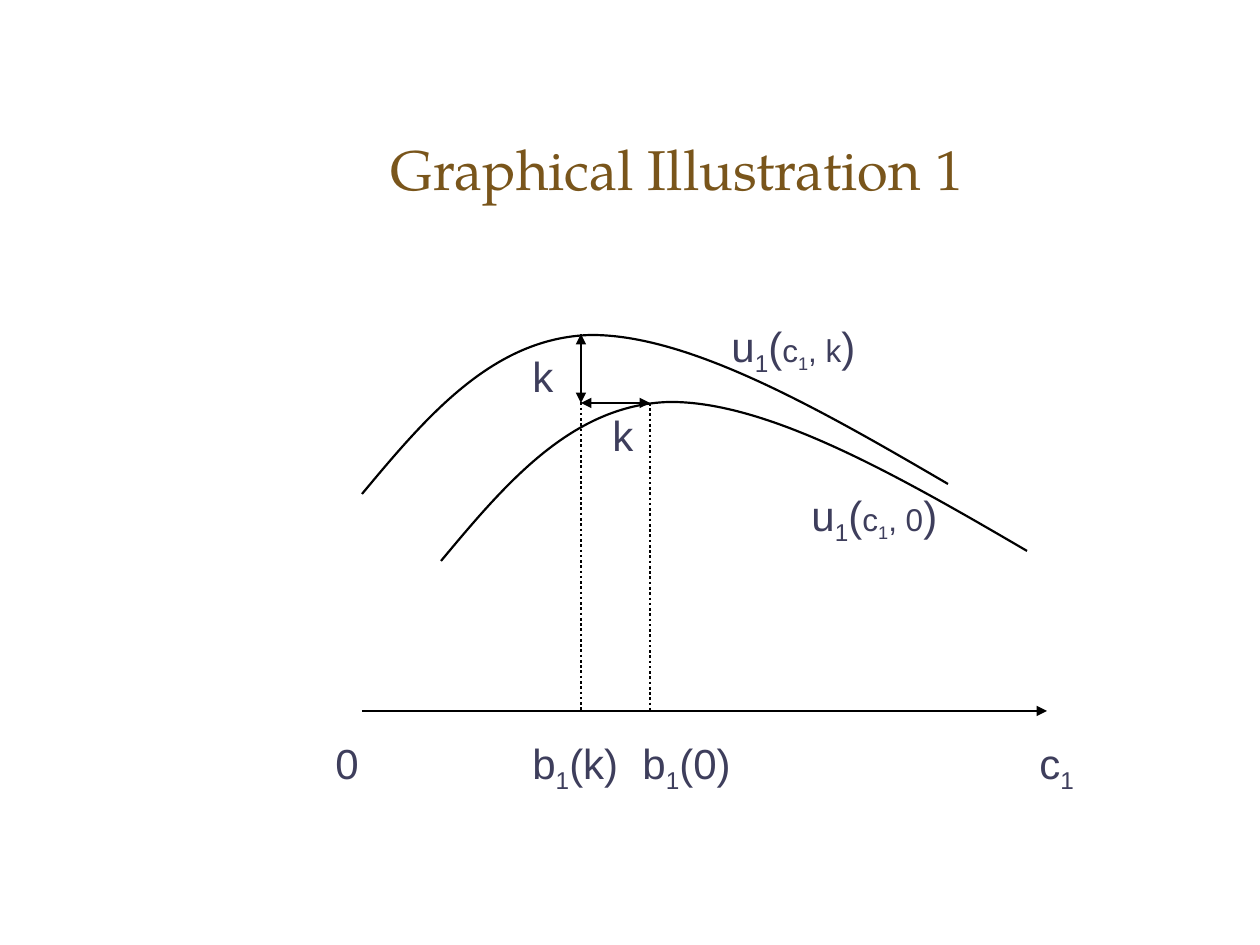
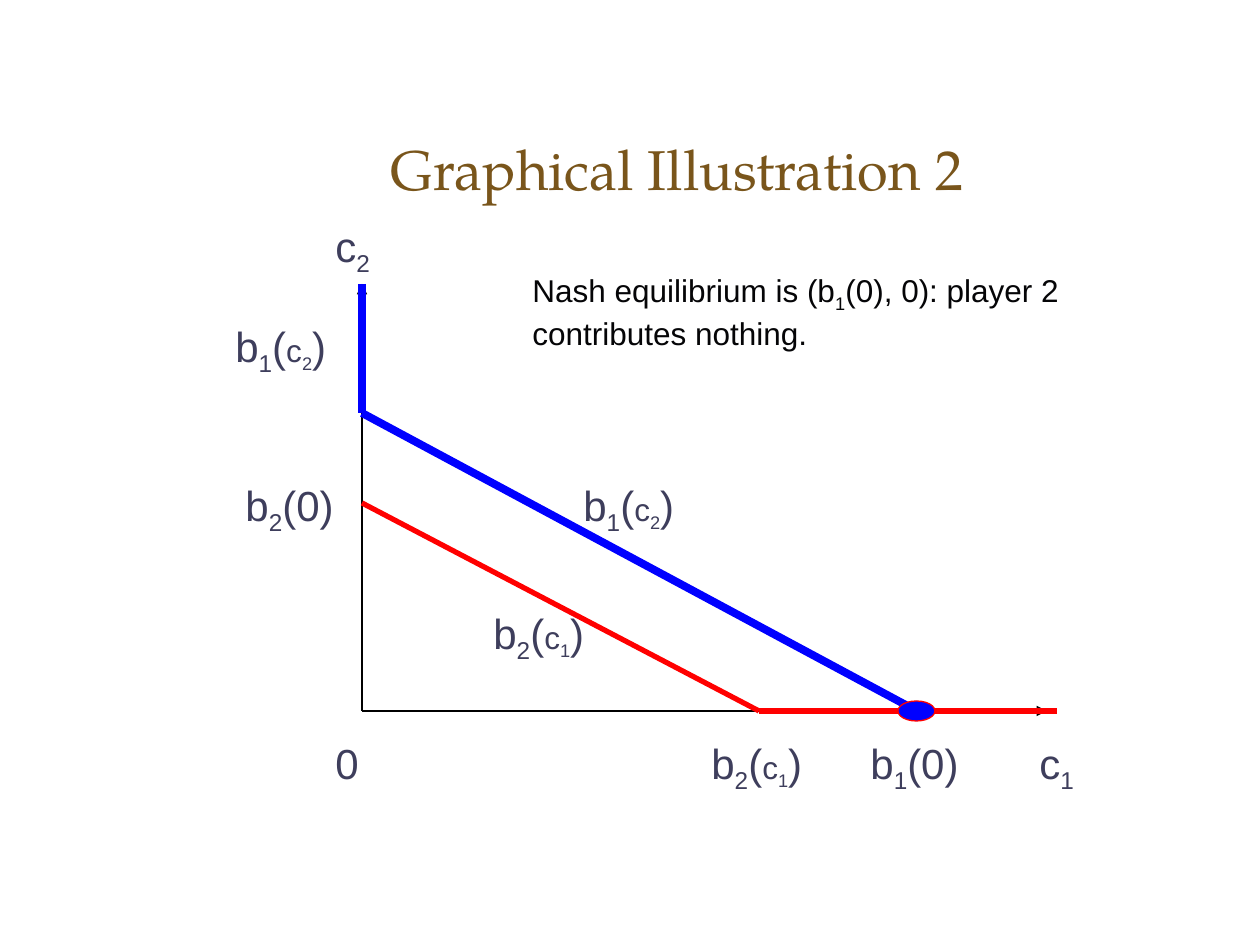
from lxml import etree
from pptx import Presentation
from pptx import util as u
from pptx.dml.color import RGBColor
from pptx.enum import dml, shapes, text
from pptx.oxml.ns import qn

PX = 914400 // 126
COLORS = {
    "title": "79551B",
    "label": "3E3E5C",
    "note": "050507",
    "ink": "000000",
    "player1": "0000FF",
    "player2": "FF0000",
}
ORIGIN_X, AXIS_Y, AXIS_END = 362, 711, 1047
LABEL_Y = 731


def px(*lengths):
    return [u.Emu(length * PX) for length in lengths]


def rgb(name):
    return RGBColor.from_string(COLORS[name])


class Deck:
    title_font = "TeX Gyre Pagella"
    body_font = "Arial"

    def __init__(self):
        self.prs = Presentation()
        self.prs.slide_width, self.prs.slide_height = u.Inches(10), u.Inches(7.5)
        self.slide = None

    def new_slide(self, title):
        self.slide = self.prs.slides.add_slide(self.prs.slide_layouts[6])
        frame = self.frame(378, 105, 756, 126)
        frame.vertical_anchor = text.MSO_ANCHOR.MIDDLE
        heading = frame.paragraphs[0]
        heading.text = title
        self.style(heading, self.title_font, 32, "title")

    def frame(self, x, y, width, height):
        frame = self.slide.shapes.add_textbox(*px(x, y, width, height)).text_frame
        frame.word_wrap = True
        return frame

    def style(self, paragraph, font, size, color):
        paragraph.font.name = font
        paragraph.font.size = u.Pt(size)
        paragraph.font.color.rgb = rgb(color)

    def label(self, x, y, width, formula, height=None, size=24, color="label"):
        """Formula marks: _ lowers the next character, | toggles small type."""
        frame = self.frame(x, y, width, height or (71 if "_" in formula else 63))
        frame.auto_size = text.MSO_AUTO_SIZE.SHAPE_TO_FIT_TEXT
        paragraph = frame.paragraphs[0]
        self.style(paragraph, self.body_font, size, color)
        for part_no, part in enumerate(formula.split("|")):
            small = part_no % 2 == 1
            plain, *lowered = part.split("_")
            self.run(paragraph, plain, small)
            for piece in lowered:
                self.run(paragraph, piece[:1], small, subscript=True)
                self.run(paragraph, piece[1:], small)

    def run(self, paragraph, wording, small, subscript=False):
        if not wording:
            return
        run = paragraph.add_run()
        run.text = wording
        if small:
            run.font.size = u.Pt(18)
        if subscript:
            run._r.get_or_add_rPr().set("baseline", "-25000")

    def line(self, start, end, width=1.5, color="ink", dotted=False, arrows=()):
        line = self.slide.shapes.add_connector(
            shapes.MSO_CONNECTOR.STRAIGHT, *px(*start, *end))
        line.line.color.rgb = rgb(color)
        line.line.width = u.Pt(width)
        if dotted:
            line.line.dash_style = dml.MSO_LINE.ROUND_DOT
        properties = line._element.spPr
        for arrow in arrows:
            etree.SubElement(properties.find(qn("a:ln")), qn(f"a:{arrow}"), type="triangle")
        etree.SubElement(properties, qn("a:effectLst"))

    def curve(self, points):
        builder = self.slide.shapes.build_freeform(*points[0], scale=PX)
        builder.add_line_segments(points[1:], close=False)
        curve = builder.convert_to_shape()
        curve.shadow.inherit = False
        curve.fill.background()
        curve.line.color.rgb = rgb("ink")
        curve.line.width = u.Pt(1.25)
        path = curve._element.spPr.find(".//" + qn("a:path"))
        segments = path.findall(qn("a:lnTo"))
        for first in range(0, len(segments), 3):
            bezier = etree.SubElement(path, qn("a:cubicBezTo"))
            for segment in segments[first:first + 3]:
                bezier.append(segment[0])
                path.remove(segment)

    def dot(self, x, y, width, height, fill, outline):
        dot = self.slide.shapes.add_shape(
            shapes.MSO_SHAPE.OVAL, *px(x, y, width, height))
        dot.shadow.inherit = False
        dot.fill.solid()
        dot.fill.fore_color.rgb = rgb(fill)
        dot.line.color.rgb = rgb(outline)
        dot.line.width = u.Pt(0.75)

    def horizontal_axis(self):
        self.line((ORIGIN_X, AXIS_Y), (AXIS_END, AXIS_Y), arrows=["tailEnd"])
        self.label(1027, LABEL_Y, 79, "c_1")
        self.label(323, LABEL_Y, 79, "0")


def utility_slide(deck):
    deck.new_slide("Graphical Illustration 1")
    utility_k = [(362, 494), (427, 416), (493, 338), (590, 335),
                 (688, 334), (818, 408), (948, 484)]
    deck.curve([(x + 79, y + 67) for x, y in utility_k])
    deck.curve(utility_k)
    deck.horizontal_axis()

    best_k, best_0 = 581, 650
    peak_k, peak_0 = 334, 403
    deck.line((best_0, peak_0), (best_0, AXIS_Y), dotted=True)
    deck.line((best_k, peak_k), (best_k, AXIS_Y), dotted=True)
    for shift_start in [(best_0, peak_0), (best_k, peak_k)]:
        deck.line(shift_start, (best_k, peak_0), 0.75, arrows=["headEnd", "tailEnd"])

    deck.label(520, LABEL_Y, 118, "b_1(k)")
    deck.label(630, LABEL_Y, 118, "b_1(0)")
    deck.label(520, 344, 89, "k")
    deck.label(600, 403, 69, "k")
    deck.label(799, 483, 208, "u_1(|c_1, 0|)")
    deck.label(719, 314, 208, "u_1(|c_1, k|)")


def equilibrium_slide(deck):
    deck.new_slide("Graphical Illustration 2")
    deck.horizontal_axis()
    axis_top, kink1_y, kink2_x, nash_x = 284, 413, 759, 917
    deck.line((ORIGIN_X, AXIS_Y), (ORIGIN_X, axis_top), arrows=["tailEnd"])

    response1 = [(ORIGIN_X, axis_top), (ORIGIN_X, kink1_y), (nash_x, AXIS_Y)]
    response2 = [(ORIGIN_X, 503), (kink2_x, AXIS_Y), (1057, AXIS_Y)]
    for response, width, player in [(response1, 4.5, "player1"), (response2, 3, "player2")]:
        for start, end in zip(response, response[1:]):
            deck.line(start, end, width, player)
    deck.dot(898, 701, 37, 20, "player1", "player2")

    deck.label(323, 214, 79, "c_2")
    deck.label(699, LABEL_Y, 129, "b_2(|c_1|)")
    deck.label(858, LABEL_Y, 118, "b_1(0)")
    deck.label(571, 473, 208, "b_1(|c_2|)")
    deck.label(223, 314, 129, "b_1(|c_2|)")
    deck.label(481, 601, 208, "b_2(|c_1|)")
    deck.label(233, 473, 118, "b_2(0)")
    deck.label(520, 265, 556, "Nash equilibrium is (b_1(0), 0): player 2 contributes nothing.",
               height=93, size=18, color="note")


def main():
    deck = Deck()
    utility_slide(deck)
    equilibrium_slide(deck)
    deck.prs.save("out.pptx")


if __name__ == "__main__":
    main()
